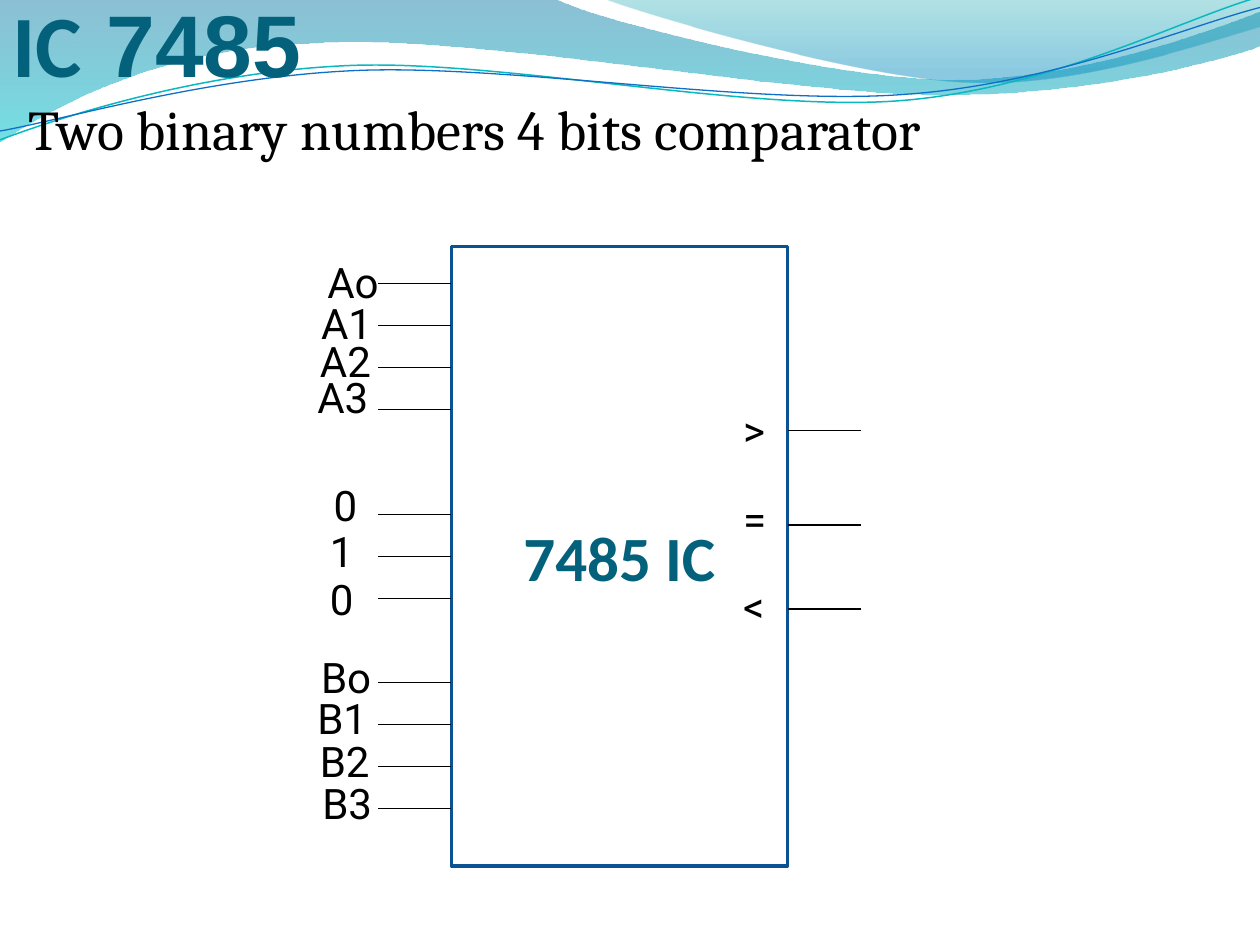
import math

from lxml import etree
from pptx import Presentation
from pptx import util as u
from pptx.dml.color import RGBColor
from pptx.enum import shapes, text
from pptx.oxml.ns import qn

BLACK, TEAL = "000000", "04617B"
LABEL = {"size": u.Pt(24), "name": "Roboto", "color": BLACK}
HEADING = [
    ("7485 IC", {"size": u.Pt(50), "name": "Calibri", "bold": True, "color": TEAL}),
    ("Two binary numbers 4 bits comparator ",
     {"size": u.Pt(32), "name": "Cambria", "bold": False, "color": BLACK}),
]
GRID = 1 / 12
CHIP = [steps * GRID for steps in (43, 23.5, 32, 59)]
PIN_LENGTH, PIN_PITCH, LABEL_HEIGHT = 7 * GRID, 4 * GRID, 0.5

# first pin height in grid steps, label width, then (label, left, top) for each pin
INPUTS = [
    (27, 1.21, [("Ao", 2.5, 1.99), ("A1", 2.45, 2.31),
                ("A2", 2.44, 2.61), ("A3", 2.42, 2.9)]),
    (49, 0.39, [("0", 2.55, 3.76), ("1", 2.52, 4.12), ("0", 2.52, 4.5)]),
    (65, 1.21, [("Bo", 2.45, 5.12), ("B1", 2.42, 5.45),
                ("B2", 2.44, 5.79), ("B3", 2.46, 6.12)]),
]
# label, label top, pin height in grid steps
OUTPUTS = [(">", 3.16, 41), ("=", 3.87, 50), ("<", 4.56, 58)]

# A pair is a straight step, six numbers are a Bezier curve
BANDS = [
    ([(0, 0), (4.4, -0.01), (4.76, 0.17, 6.64, 0.63, 7.58, 0.63),
      (8.53, 0.63, 9.58, 0.26, 10, 0.09), (10.01, 0.36),
      (9.83, 0.44, 8.7, 0.76, 7.46, 0.75), (6.22, 0.75, 3.82, 0.28, 2.57, 0.34),
      (1.29, 0.36, 0.46, 0.83, -0.01, 1.13), (0, 0)],
     [(0, "0074A1", 45), (100, "00C6CF", 55)]),
    ([(4.79, -0.01), (5.09, 0.11, 6.82, 0.62, 7.69, 0.65),
      (8.56, 0.69, 9.61, 0.32, 10, 0.21), (10, 0), (4.79, -0.01)],
     [(0, "00A1A9", 30), (80, "008BBF", 45)]),
]
TILT = -2.7
STRANDS = [
    ([(0, 1.11), (0.48, 0.93, 1.58, 0.57, 2.77, 0.52),
      (3.95, 0.47, 5.93, 0.89, 7.13, 0.8), (8.33, 0.71, 9.38, 0.15, 9.98, -0.02)],
     (4.99, 0.58), "0AB8BF", 0.85),
    ([(0, 1.04), (0.47, 0.96, 1.64, 0.61, 2.83, 0.56),
      (4.03, 0.51, 5.97, 0.84, 7.17, 0.75), (8.36, 0.67, 9.41, 0.21, 10, 0.06)],
     (5, 0.59), "0F6FC6", 0.75),
]


def rgb(value):
    """Turn a hex string into a colour."""
    return RGBColor.from_string(value)


def inches(*values):
    """Turn numbers into lengths."""
    return [u.Inches(value) for value in values]


def set_line(line, color, width):
    """Give an outline its colour and width."""
    line.color.rgb = rgb(color)
    line.width = u.Pt(width)


def write(para, words, style):
    """Add one formatted run to a paragraph."""
    span = para.add_run()
    span.text = words
    for key, value in style.items():
        if key == "color":
            span.font.color.rgb = rgb(value)
        else:
            setattr(span.font, key, value)
    return span


def pairs(step):
    """Split a step into its points."""
    return list(zip(step[::2], step[1::2]))


def turn(steps, center, degrees):
    """Rotate every point of a path about a center."""
    cos, sin = math.cos(math.radians(degrees)), math.sin(math.radians(degrees))
    turned = []
    for step in steps:
        offsets = [(x - center[0], y - center[1]) for x, y in pairs(step)]
        turned.append([value for x, y in offsets
                       for value in (center[0] + x * cos - y * sin,
                                     center[1] + x * sin + y * cos)])
    return turned


def outline(page, steps, close):
    """Draw a path of straight steps and Bezier curves."""
    corners = [inches(*point) for step in steps for point in pairs(step)]
    builder = page.shapes.build_freeform(*corners[0], scale=1.0)
    builder.add_line_segments(corners[1:], close=close)
    shape = builder.convert_to_shape()
    shape.shadow.inherit = False
    segments = iter(list(shape._element.iter(qn("a:lnTo"))))
    for step in steps[1:]:
        first = next(segments)
        if len(step) == 6:
            first.tag = qn("a:cubicBezTo")
            for extra in (next(segments), next(segments)):
                first.append(extra[0])
                extra.getparent().remove(extra)
    return shape


def fade(shape, stops):
    """Fill a shape with a see-through gradient from top to bottom."""
    shape.line.fill.background()
    grad = etree.Element(qn("a:gradFill"))
    stop_list = etree.SubElement(grad, qn("a:gsLst"))
    for position, color, alpha in stops:
        stop = etree.SubElement(stop_list, qn("a:gs"), pos=str(position * 1000))
        tint = etree.SubElement(stop, qn("a:srgbClr"), val=color)
        etree.SubElement(tint, qn("a:alpha"), val=str(alpha * 1000))
    etree.SubElement(grad, qn("a:lin"), ang="5400000", scaled="0")
    shape._element.spPr.find(qn("a:custGeom")).addnext(grad)


def add_pin(page, left, top):
    """Draw one horizontal pin."""
    pin = page.shapes.add_connector(shapes.MSO_CONNECTOR.STRAIGHT,
                                    *inches(left, top, left + PIN_LENGTH, top))
    set_line(pin.line, BLACK, 0.75)
    etree.SubElement(pin._element.spPr, qn("a:effectLst"))


def add_label(page, words, left, top, width):
    """Add the label of one pin."""
    box = page.shapes.add_textbox(*inches(left, top, width, LABEL_HEIGHT))
    box.text_frame.word_wrap = True
    write(box.text_frame.paragraphs[0], words, LABEL)


def add_heading(page):
    """Fill the title with right-to-left lines set at the left."""
    title = page.shapes.title
    title.left, title.top, title.width, title.height = inches(0, -0.13, 9.75, 1.48)
    frame = title.text_frame
    frame.word_wrap = True
    frame.auto_size = text.MSO_AUTO_SIZE.NONE
    frame.vertical_anchor = text.MSO_ANCHOR.TOP
    for index, (words, style) in enumerate(HEADING):
        para = frame.add_paragraph() if index else frame.paragraphs[0]
        para.alignment = text.PP_ALIGN.LEFT
        para.space_before = u.Pt(0)
        para._p.get_or_add_pPr().set("rtl", "1")
        span = write(para, words, style)
        etree.SubElement(span.font._element, qn("a:cs"), typeface="Arial")
    page.shapes._spTree.append(title._element)


def add_chip(page):
    """Draw the body of the circuit."""
    chip = page.shapes.add_shape(shapes.MSO_SHAPE.RECTANGLE, *inches(*CHIP))
    chip.shadow.inherit = False
    chip.fill.solid()
    chip.fill.fore_color.rgb = rgb("FFFFFF")
    set_line(chip.line, "0B5292", 2)
    chip.text_frame.vertical_anchor = text.MSO_ANCHOR.MIDDLE
    para = chip.text_frame.paragraphs[0]
    para.alignment = text.PP_ALIGN.CENTER
    write(para, "7485 IC", {"size": u.Pt(36), "name": "Calibri", "bold": True, "color": TEAL})


deck = Presentation()
deck.slide_width, deck.slide_height = inches(10, 7.5)
page = deck.slides.add_slide(deck.slide_layouts[5])

for steps, stops in BANDS:
    fade(outline(page, steps, True), stops)
for steps, center, color, width in STRANDS:
    strand = outline(page, turn(steps, center, -TILT), False)
    strand.rotation = TILT
    strand.fill.background()
    set_line(strand.line, color, width)

add_heading(page)
add_chip(page)
chip_left, chip_right = CHIP[0], CHIP[0] + CHIP[2]
for first, width, labels in INPUTS:
    for index, (words, left, top) in enumerate(labels):
        add_pin(page, chip_left - PIN_LENGTH, first * GRID + index * PIN_PITCH)
        add_label(page, words, left, top, width)
for words, top, pin_step in OUTPUTS:
    add_pin(page, chip_right, pin_step * GRID)
    add_label(page, words, chip_right - 0.45, top, 0.45)

deck.save("out.pptx")
